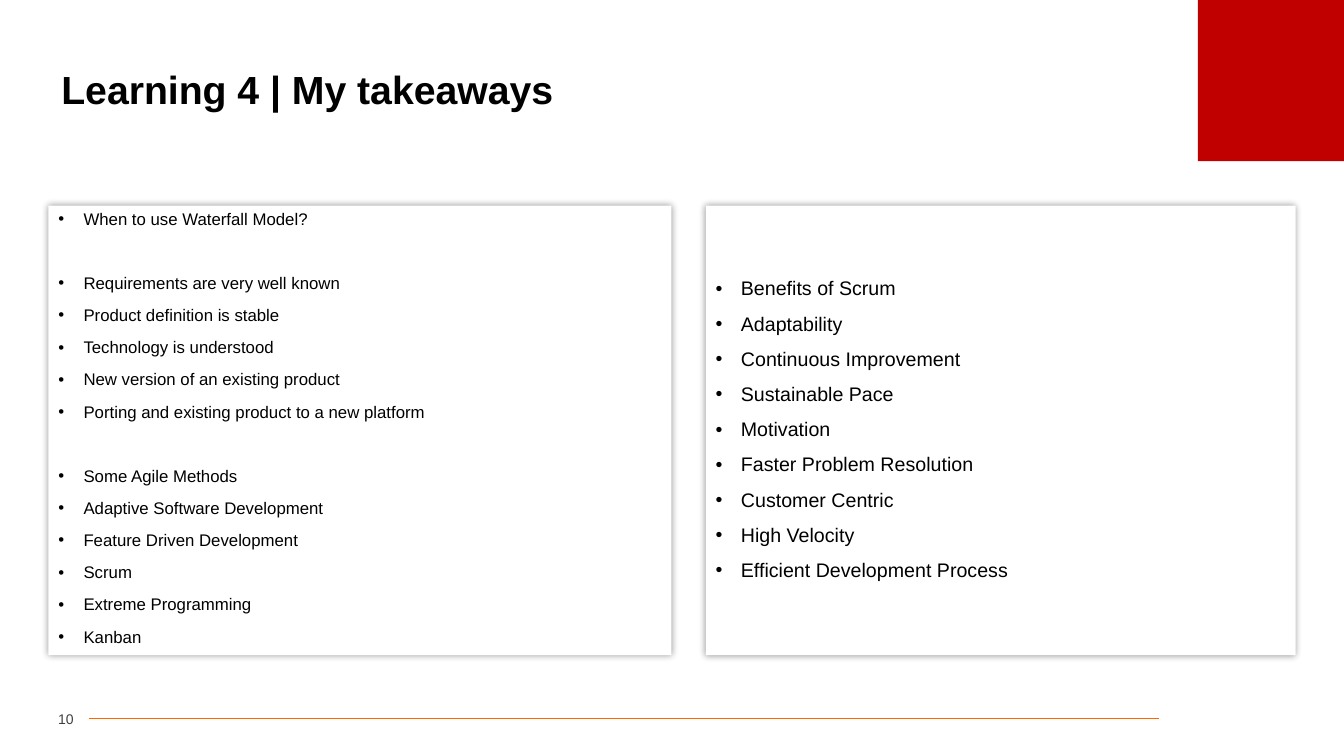
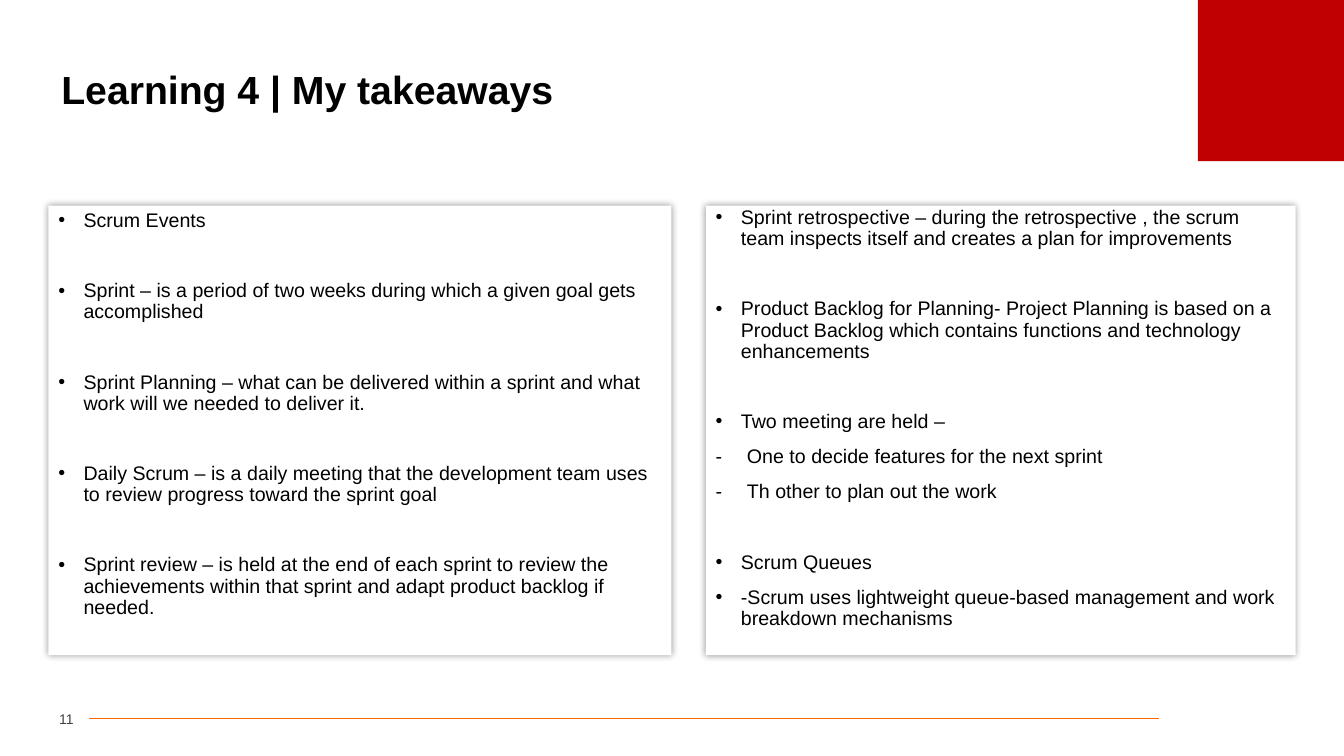
from pptx import Presentation
from pptx.dml.color import RGBColor
from pptx.enum.shapes import MSO_CONNECTOR as Connector, MSO_SHAPE as Shape
from pptx.enum.text import MSO_ANCHOR as Anchor, PP_ALIGN as Align
from pptx.oxml.ns import qn
from pptx.util import Inches, Pt
from lxml.etree import SubElement

FONT = "Arial"
BLACK, WHITE, RED, ORANGE, GREY = "000000", "FFFFFF", "C00000", "FF6600", "404040"
TITLE = "Learning 4 | My takeaways"
PANEL_TOP, PANEL_HEIGHT = 2.04, 4.46
PANEL_COLUMNS = [(0.48, 6.18), (7, 5.85)]
ITEM_SPACE = 10
GROUP_SPACE = {12: 33, 14: 35}
BULLET_INDENTS = {"•": 0.25, "-": 0.31}

PAGES = [
    {"number": 10, "panels": [
        {"size": 12, "anchor": Anchor.TOP, "inset": 0.05, "groups": [
            ["When to use Waterfall Model?"],
            ["Requirements are very well known",
             "Product definition is stable",
             "Technology is understood",
             "New version of an existing product",
             "Porting and existing product to a new platform"],
            ["Some Agile Methods",
             "Adaptive Software Development",
             "Feature Driven Development",
             "Scrum",
             "Extreme Programming",
             "Kanban"]]},
        {"size": 14, "anchor": Anchor.MIDDLE, "inset": 0.05, "groups": [
            ["Benefits of Scrum",
             "Adaptability",
             "Continuous Improvement",
             "Sustainable Pace",
             "Motivation",
             "Faster Problem Resolution",
             "Customer Centric",
             "High Velocity",
             "Efficient Development Process"]]}]},
    {"number": 11, "panels": [
        {"size": 14, "anchor": Anchor.TOP, "inset": 0.05, "groups": [
            ["Scrum Events"],
            ["Sprint – is a period of two weeks during which a given goal gets "
             "accomplished"],
            ["Sprint Planning – what can be delivered within a sprint and what "
             "work will we needed to deliver it."],
            ["Daily Scrum – is a daily meeting that the development team uses "
             "to review progress toward the sprint goal"],
            ["Sprint review – is held at the end of each sprint to review the "
             "achievements within that sprint and adapt product backlog if needed."]]},
        {"size": 14, "anchor": Anchor.TOP, "inset": 0.02, "groups": [
            ["Sprint retrospective – during the retrospective , the scrum team "
             "inspects itself and creates a plan for improvements"],
            ["Product Backlog for Planning- Project Planning is based on a Product "
             "Backlog which contains functions and technology enhancements"],
            ["Two meeting are held –",
             ("-", "One to decide features for the next sprint"),
             ("-", "Th other to plan out the work")],
            ["Scrum Queues",
             "-Scrum uses lightweight queue-based management and work "
             "breakdown mechanisms"]]}]},
]


def color(value):
    return RGBColor.from_string(value)


def add_span(para, text, size, ink=BLACK, bold=False):
    span = para.add_run()
    span.text = text
    span.font.name = FONT
    span.font.size = Pt(size)
    span.font.bold = bold
    span.font.color.rgb = color(ink)


def add_block(page, left, top, width, height, fill):
    block = page.shapes.add_shape(
        Shape.RECTANGLE, Inches(left), Inches(top), Inches(width), Inches(height))
    block.shadow.inherit = False
    block.fill.solid()
    block.fill.fore_color.rgb = color(fill)
    block.line.fill.background()
    return block


def add_text_box(page, left, top, width, height):
    box = page.shapes.add_textbox(
        Inches(left), Inches(top), Inches(width), Inches(height))
    box.text_frame.word_wrap = True
    box.text_frame.vertical_anchor = Anchor.MIDDLE
    return box.text_frame


def add_frame(page, number):
    rule = page.shapes.add_connector(
        Connector.STRAIGHT, Inches(0.88), Inches(7.13), Inches(11.5), Inches(7.13))
    rule.line.color.rgb = color(ORANGE)
    rule.line.width = Pt(0.5)
    SubElement(rule._element.spPr, qn("a:effectLst"))
    add_block(page, 11.88, 0, 1.46, 1.6, RED)

    title = add_text_box(page, 0.51, 0.52, 12.31, 0.78).paragraphs[0]
    title.line_spacing = 0.9
    add_span(title, TITLE, 28, bold=True)

    footer = add_text_box(page, 0.33, 6.99, 0.4, 0.29)
    footer.margin_left = footer.margin_right = 0
    footer.paragraphs[0].alignment = Align.RIGHT
    add_span(footer.paragraphs[0], str(number), 10, GREY)


def add_glow(block):
    effects = block._element.spPr.find(qn("a:effectLst"))
    shadow = SubElement(effects, qn("a:outerShdw"), blurRad=str(Pt(5)),
                        dist="0", dir="0", algn="ctr", rotWithShape="0")
    tint = SubElement(shadow, qn("a:srgbClr"), val=BLACK)
    SubElement(tint, qn("a:alpha"), val="40000")


def set_bullet(para, mark):
    indent = Inches(BULLET_INDENTS[mark])
    properties = para._p.get_or_add_pPr()
    properties.set("marL", str(indent))
    properties.set("indent", str(-indent))
    SubElement(properties, qn("a:buFont"), typeface=FONT)
    SubElement(properties, qn("a:buChar"), char=mark)


def add_panel(page, left, width, panel):
    block = add_block(page, left, PANEL_TOP, width, PANEL_HEIGHT, WHITE)
    add_glow(block)
    frame = block.text_frame
    frame.word_wrap = True
    frame.vertical_anchor = panel["anchor"]
    frame.margin_top = Inches(panel["inset"])
    para = None
    for group in panel["groups"]:
        for position, item in enumerate(group):
            mark, text = item if isinstance(item, tuple) else ("•", item)
            starts_group = para is not None and position == 0
            para = frame.add_paragraph() if para is not None else frame.paragraphs[0]
            para.alignment = Align.LEFT
            para.line_spacing = 0.9
            para.space_before = Pt(
                GROUP_SPACE[panel["size"]] if starts_group else ITEM_SPACE)
            set_bullet(para, mark)
            add_span(para, text, panel["size"])


def main():
    """Build the takeaway slides and save the deck."""
    deck = Presentation()
    deck.slide_width, deck.slide_height = Inches(13.33), Inches(7.5)
    for content in PAGES:
        page = deck.slides.add_slide(deck.slide_layouts[6])
        add_frame(page, content["number"])
        for (left, width), panel in zip(PANEL_COLUMNS, content["panels"]):
            add_panel(page, left, width, panel)
    deck.save("out.pptx")


if __name__ == "__main__":
    main()
